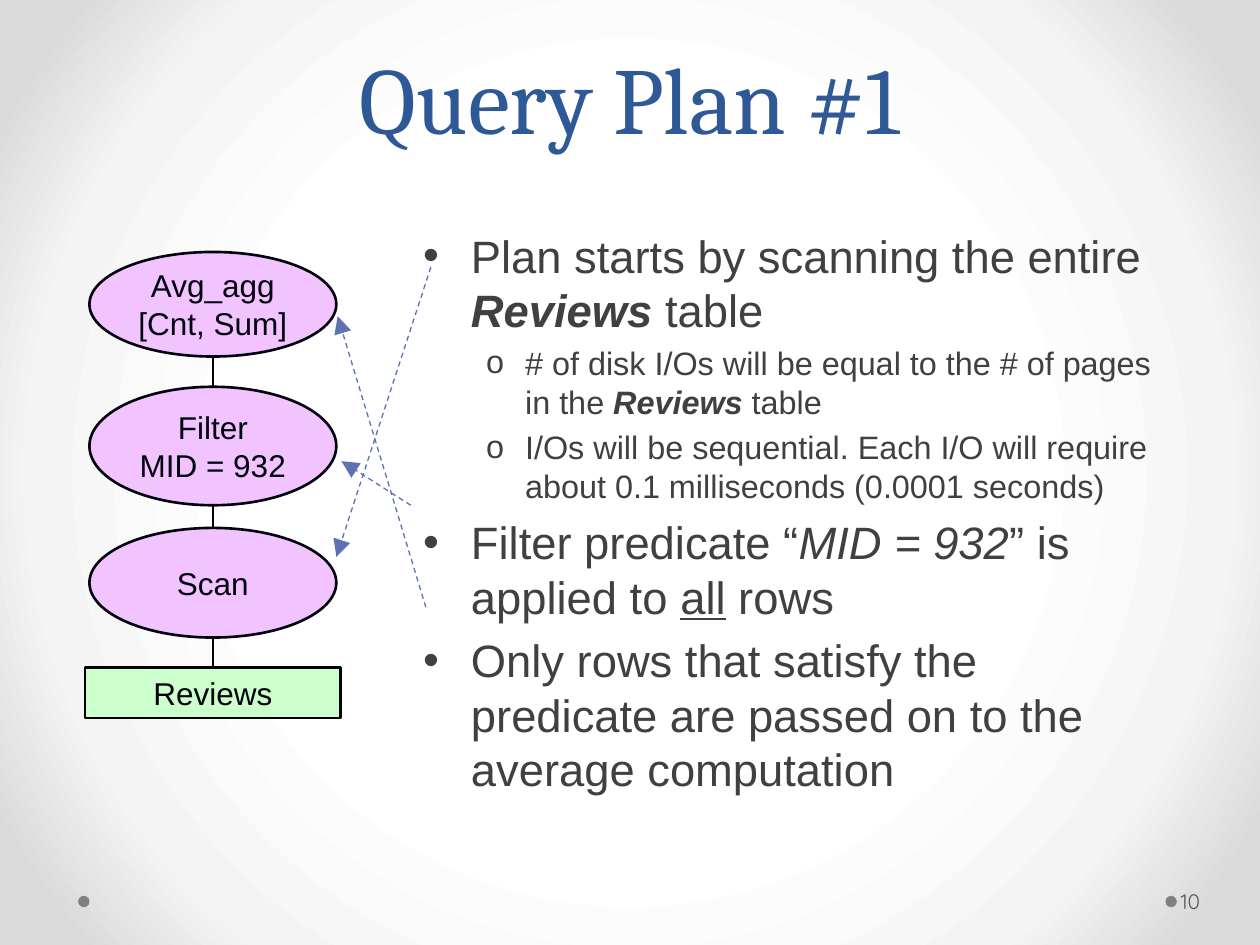
from itertools import pairwise

from lxml.etree import SubElement
from pptx import Presentation
from pptx.dml.color import RGBColor
from pptx.enum.dml import MSO_LINE
from pptx.enum.shapes import MSO_CONNECTOR, MSO_SHAPE
from pptx.enum.text import MSO_ANCHOR, PP_ALIGN
from pptx.oxml import parse_xml
from pptx.oxml.ns import nsdecls, qn
from pptx.util import Inches, Pt

TITLE = "Query Plan #1"
BULLETS = [
    (0, [("Plan starts by scanning the entire ", ""), ("Reviews", "bi"), (" table", "")]),
    (1, [("# of disk I/Os will be equal to the # of pages in the ", ""), ("Reviews", "bi"), (" table", "")]),
    (1, [("I/Os will be sequential. Each I/O will require about 0.1 milliseconds (0.0001 seconds)", "")]),
    (0, [("Filter predicate “", ""), ("MID = 932", "i"), ("” is applied to ", ""), ("all", "u"), (" rows", "")]),
    (0, [("Only rows that satisfy the predicate are passed on to the average computation", "")]),
]
LEVELS = [
    {"size": 25.9, "bullet": "•", "indent": 0.38, "hanging": 0.38, "before": 5.2},
    {"size": 18.5, "bullet": "o", "indent": 0.81, "hanging": 0.31, "before": 3.7},
]
PLAN_CENTER = 1.69
OPERATORS = [
    ("Avg_agg\n[Cnt, Sum]", MSO_SHAPE.OVAL, 2, 1.96, 0.83, "F1C4FF", "01020B"),
    ("Filter\nMID = 932", MSO_SHAPE.OVAL, 3.07, 1.96, 0.94, "F1C4FF", "01020B"),
    ("Scan", MSO_SHAPE.OVAL, 4.19, 1.96, 0.87, "F1C4FF", "01020B"),
    ("Reviews", MSO_SHAPE.RECTANGLE, 5.3, 2.03, 0.4, "CCFFCC", "000000"),
]
POINTERS = [
    ((3.42, 2.12), (2.67, 4.42)),
    ((3.26, 4.01), (2.71, 3.66)),
    ((3.38, 4.82), (2.68, 2.51)),
]
BACKGROUND_STOPS = [(50, "FFFFFF"), (76, "F4F4F4"), (92, "DADADA")]
FOOTER_DOTS = [0.62, 9.25]


def color(value):
    """Turn a hex string into a colour."""
    return RGBColor.from_string(value)


def paint_background(slide):
    """Give the slide a circular gradient."""
    slide.background.fill.gradient()
    old = next(slide.background._cSld.iter(qn("a:gradFill")))
    stops = "".join(
        f'<a:gs pos="{position * 1000}"><a:srgbClr val="{value}"/></a:gs>'
        for position, value in BACKGROUND_STOPS
    )
    gradient = parse_xml(
        f'<a:gradFill {nsdecls("a")} rotWithShape="1"><a:gsLst>{stops}</a:gsLst>'
        '<a:path path="circle"><a:fillToRect l="50000" t="50000" r="50000" b="50000"/></a:path>'
        "</a:gradFill>"
    )
    old.getparent().replace(old, gradient)


def write(paragraph, text, size, font="Arial", fill="01020B", style="", align=None):
    """Append formatted text to a paragraph, breaking at newlines."""
    if align is not None:
        paragraph.alignment = align
    for number, line in enumerate(text.split("\n")):
        if number:
            paragraph.add_line_break()
        run = paragraph.add_run()
        run.text = line
        run.font.name = font
        run.font.size = Pt(size)
        run.font.color.rgb = color(fill)
        run.font.bold = "b" in style
        run.font.italic = "i" in style
        run.font.underline = "u" in style


def add_text_box(slide, left, top, width, height, anchor=MSO_ANCHOR.TOP):
    """Add a wrapping text box and return its frame."""
    frame = slide.shapes.add_textbox(*map(Inches, (left, top, width, height))).text_frame
    frame.word_wrap = True
    frame.vertical_anchor = anchor
    return frame


def add_shape(slide, kind, left, top, width, height, fill, line=None):
    """Add a flat filled shape with an optional outline."""
    shape = slide.shapes.add_shape(kind, *map(Inches, (left, top, width, height)))
    shape.shadow.inherit = False
    shape.fill.solid()
    shape.fill.fore_color.rgb = color(fill)
    if line:
        shape.line.color.rgb = color(line)
        shape.line.width = Pt(1.5)
    else:
        shape.line.fill.background()
    return shape


def add_line(slide, start, end, line, width):
    """Add a straight connector without a shadow."""
    connector = slide.shapes.add_connector(MSO_CONNECTOR.STRAIGHT, *map(Inches, (*start, *end)))
    connector.line.color.rgb = color(line)
    connector.line.width = Pt(width)
    SubElement(connector._element.spPr, qn("a:effectLst"))
    return connector


def add_bullets(slide):
    """Add the two-level explanation."""
    frame = add_text_box(slide, 3.26, 1.76, 6.13, 4.5)
    for number, (level, runs) in enumerate(BULLETS):
        paragraph = frame.add_paragraph() if number else frame.paragraphs[0]
        look = LEVELS[level]
        properties = paragraph._p.get_or_add_pPr()
        properties.set("marL", str(Inches(look["indent"])))
        properties.set("indent", str(-Inches(look["hanging"])))
        SubElement(properties, qn("a:buFont"), typeface="Arial")
        SubElement(properties, qn("a:buChar"), char=look["bullet"])
        paragraph.level = level
        if number:
            paragraph.space_before = Pt(look["before"])
        for text, style in runs:
            write(paragraph, text, look["size"], fill="404040", style=style)


def add_plan(slide):
    """Add the operator stack and the lines joining it."""
    shapes = []
    for text, kind, top, width, height, fill, line in OPERATORS:
        shape = add_shape(slide, kind, PLAN_CENTER - width / 2, top, width, height, fill, line)
        frame = shape.text_frame
        frame.word_wrap = kind == MSO_SHAPE.RECTANGLE
        frame.vertical_anchor = MSO_ANCHOR.MIDDLE
        write(frame.paragraphs[0], text, 18, align=PP_ALIGN.CENTER)
        shapes.append(shape)
    for (upper, lower), operator in zip(pairwise(shapes), OPERATORS):
        bottom = operator[2] + operator[4]
        connector = add_line(slide, (PLAN_CENTER, bottom), (PLAN_CENTER, lower.top.inches), "01020B", 1.5)
        connector.end_connect(lower, 0)


def add_pointers(slide):
    """Add dashed arrows from the explanation to the operators."""
    for start, end in POINTERS:
        connector = add_line(slide, start, end, "5C72B2", 0.75)
        connector.line.dash_style = MSO_LINE.DASH
        SubElement(connector.line._get_or_add_ln(), qn("a:tailEnd"), type="triangle", w="lg", len="lg")


def main():
    """Build and save the slide."""
    presentation = Presentation()
    presentation.slide_width, presentation.slide_height = Inches(10), Inches(7.5)
    slide = presentation.slides.add_slide(presentation.slide_layouts[6])
    paint_background(slide)
    for left in FOOTER_DOTS:
        add_shape(slide, MSO_SHAPE.OVAL, left, 7.11, 0.09, 0.09, "808080")

    title = add_text_box(slide, 0.5, 0.27, 9, 1, MSO_ANCHOR.BOTTOM).paragraphs[0]
    title.line_spacing = Pt(58)
    write(title, TITLE, 54, font="Cambria", fill="2F5897", align=PP_ALIGN.CENTER)
    add_bullets(slide)

    page = add_text_box(slide, 9.34, 6.95, 0.61, 0.4, MSO_ANCHOR.MIDDLE)
    page.margin_left, page.margin_right = Inches(0.03), Inches(0.05)
    write(page.paragraphs[0], "10", 12, font="Quicksand", fill="595959")

    add_plan(slide)
    add_pointers(slide)
    presentation.save("out.pptx")


if __name__ == "__main__":
    main()
